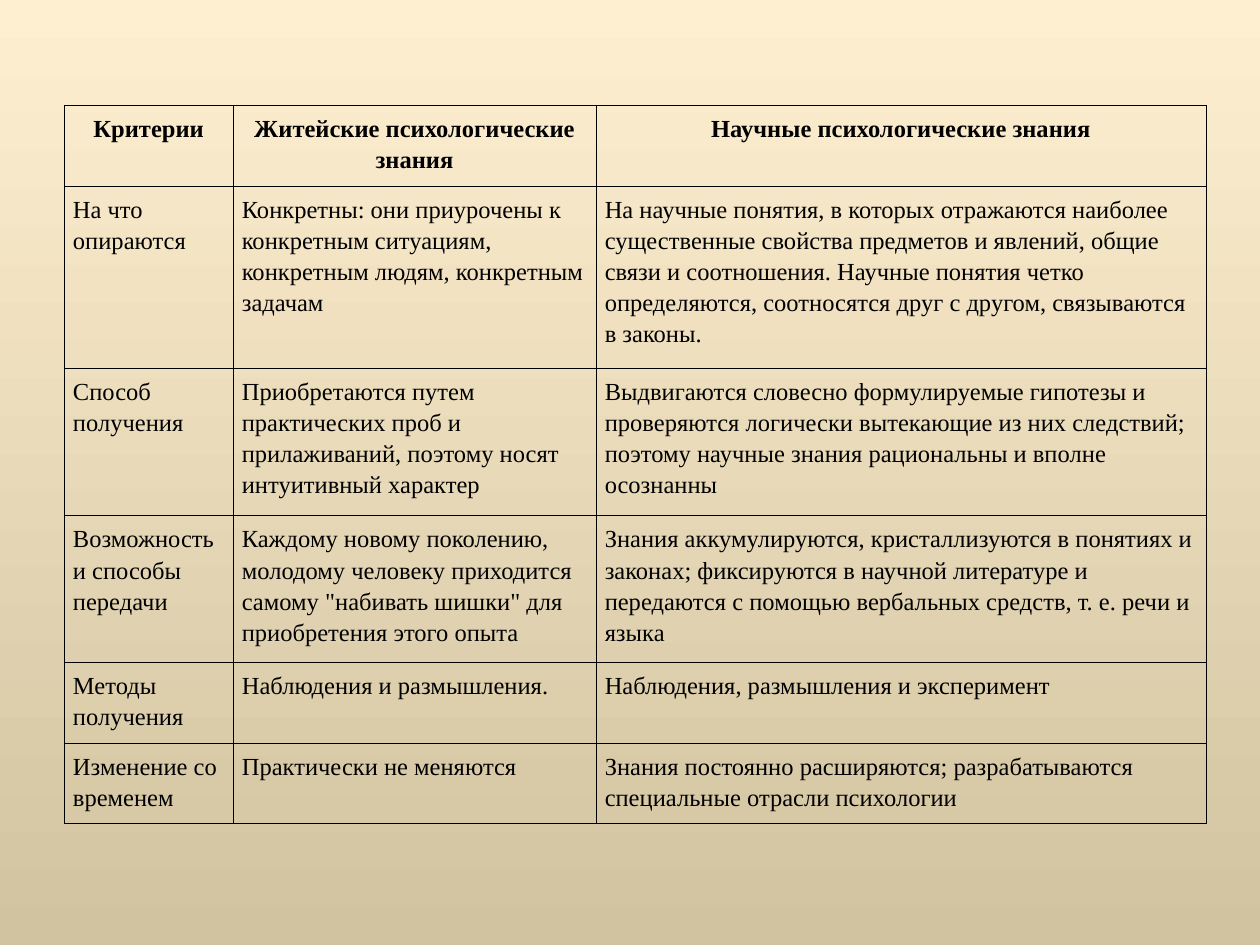
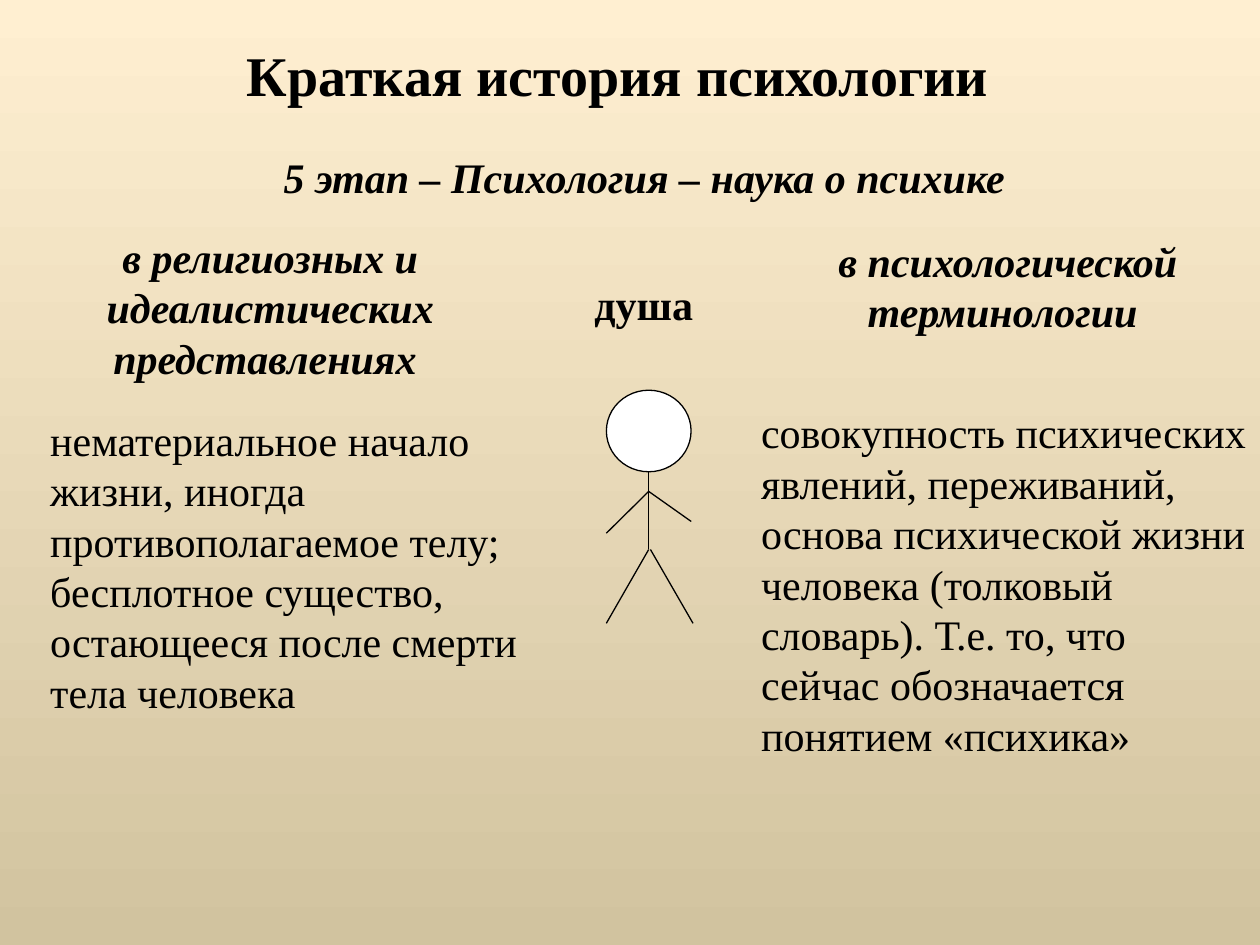
from lxml.etree import SubElement
from pptx import Presentation
from pptx.dml.color import RGBColor
from pptx.enum.shapes import MSO_CONNECTOR, MSO_SHAPE
from pptx.enum.text import MSO_ANCHOR, MSO_AUTO_SIZE, PP_ALIGN
from pptx.oxml.ns import qn
from pptx.util import Pt

BLACK = RGBColor(0x00, 0x00, 0x00)
WHITE = RGBColor(0xFF, 0xFF, 0xFF)
SAND_LIGHT = RGBColor(0xFF, 0xEF, 0xD1)
SAND_DARK = RGBColor(0xD1, 0xC3, 0x9F)
FONT = "Times New Roman"
TITLE_ONLY, BLANK = 5, 6

COLUMNS = [96.5, 207.4, 348.5]
ROWS = [46, 104, 84.5, 84, 46, 46]
CRITERIA = [
    ("Критерии", "Житейские психологические знания", "Научные психологические знания"),
    ("На что опираются",
     "Конкретны: они приурочены к конкретным ситуациям, конкретным людям, конкретным задачам",
     "На научные понятия, в которых отражаются наиболее существенные свойства предметов и явлений, "
     "общие связи и соотношения. Научные понятия четко определяются, соотносятся друг с другом, "
     "связываются в законы."),
    ("Способ получения",
     "Приобретаются путем практических проб и прилаживаний, поэтому носят интуитивный характер",
     "Выдвигаются словесно формулируемые гипотезы и проверяются логически вытекающие из них "
     "следствий; поэтому научные знания рациональны и вполне осознанны"),
    ("Возможность и способы передачи",
     "Каждому новому поколению, молодому человеку приходится самому \"набивать шишки\" для "
     "приобретения этого опыта",
     "Знания аккумулируются, кристаллизуются в понятиях и законах; фиксируются в научной литературе "
     "и передаются с помощью вербальных средств, т. е. речи и языка"),
    ("Методы получения", "Наблюдения и размышления.", "Наблюдения, размышления и эксперимент"),
    ("Изменение со временем", "Практически не меняются",
     "Знания постоянно расширяются; разрабатываются специальные отрасли психологии"),
]


def set_background(prs):
    fill = prs.slide_master.background.fill
    fill.gradient()
    fill.gradient_angle = 270
    for stop, position, color in zip(fill.gradient_stops, (0, 1), (SAND_LIGHT, SAND_DARK)):
        stop.position = position
        stop.color.rgb = color


def style_paragraph(p, size, bold=False, italic=False, align=PP_ALIGN.LEFT):
    p.alignment = align
    font = p.font
    font.name, font.size, font.bold, font.italic = FONT, Pt(size), bold, italic
    font.color.rgb = BLACK


def add_borders(cell):
    tcPr = cell._tc.get_or_add_tcPr()
    for i, side in enumerate(("lnL", "lnR", "lnT", "lnB")):
        ln = SubElement(tcPr, qn(f"a:{side}"), w=str(Pt(0.45)))
        tcPr.insert(i, ln)
        fill = SubElement(ln, qn("a:solidFill"))
        SubElement(fill, qn("a:srgbClr"), val=str(BLACK))


def add_criteria_table(s):
    frame = s.shapes.add_table(len(ROWS), len(COLUMNS), Pt(36.7), Pt(60.3),
                               Pt(sum(COLUMNS)), Pt(sum(ROWS)))
    table = frame.table
    table.first_row = table.horz_banding = False
    for column, width in zip(table.columns, COLUMNS):
        column.width = Pt(width)
    for i, (row, height, texts) in enumerate(zip(table.rows, ROWS, CRITERIA)):
        row.height = Pt(height)
        for cell, text in zip(row.cells, texts):
            cell.text = text
            cell.margin_left = cell.margin_right = Pt(5)
            cell.margin_top = cell.margin_bottom = Pt(3.6)
            cell.fill.background()
            add_borders(cell)
            p = cell.text_frame.paragraphs[0]
            p.line_spacing = 1.15
            style_paragraph(p, 14, bold=i == 0,
                            align=PP_ALIGN.CENTER if i == 0 else PP_ALIGN.LEFT)


def set_title(s, text, left, top, width, height):
    title = s.shapes.title
    title.left, title.top, title.width, title.height = map(Pt, (left, top, width, height))
    tf = title.text_frame
    tf.text = text
    tf.word_wrap = False
    tf.auto_size = MSO_AUTO_SIZE.SHAPE_TO_FIT_TEXT
    tf.vertical_anchor = MSO_ANCHOR.TOP
    style_paragraph(tf.paragraphs[0], 32, bold=True)


def add_text(s, text, left, top, width, height, wrap=True, **style):
    tf = s.shapes.add_textbox(*map(Pt, (left, top, width, height))).text_frame
    tf.text = text
    tf.word_wrap = wrap
    tf.auto_size = MSO_AUTO_SIZE.SHAPE_TO_FIT_TEXT
    style_paragraph(tf.paragraphs[0], 24, **style)


def add_line(shapes, start, end):
    line = shapes.add_connector(MSO_CONNECTOR.STRAIGHT, *map(Pt, start + end))
    line.line.color.rgb = BLACK
    line.line.width = Pt(0.75)
    SubElement(line._element.spPr, qn("a:effectLst"))


def add_stick_figure(s):
    shapes = s.shapes.add_group_shape().shapes
    head = shapes.add_shape(MSO_SHAPE.OVAL, Pt(346.5), Pt(223), Pt(48.4), Pt(46.6))
    head.shadow.inherit = False
    head.fill.solid()
    head.fill.fore_color.rgb = WHITE
    head.line.color.rgb = BLACK
    head.line.width = Pt(0.75)
    neck, shoulders, hips = (370.7, 269.6), (370.7, 280.8), (370.7, 314)
    add_line(shapes, neck, hips)
    add_line(shapes, shoulders, (346.5, 304.7))
    add_line(shapes, shoulders, (395, 298))
    add_line(shapes, hips, (346.5, 356.2))
    add_line(shapes, (371.7, 314), (396, 356.2))


def add_history(s):
    heading = dict(bold=True, italic=True, align=PP_ALIGN.CENTER)
    set_title(s, "Краткая история психологии", 133.9, 19.5, 441.4, 46)
    add_text(s, "5 этап – Психология – наука о психике ", 22.3, 83, 697.7, 36, **heading)
    add_text(s, "душа", 332.6, 155.7, 76.3, 36, wrap=False, bold=True)
    add_text(s, "нематериальное начало жизни, иногда противополагаемое телу; бесплотное существо, "
             "остающееся после смерти тела человека", 21.6, 233.2, 286.6, 180)
    add_text(s, "в религиозных и идеалистических представлениях ",
             21.6, 128.8, 265.7, 93.6, **heading)
    add_text(s, "в психологической терминологии ", 465.8, 131, 220.3, 64.8, **heading)
    add_text(s, "совокупность психических явлений, переживаний, основа психической жизни человека "
             "(толковый словарь). Т.е. то, что сейчас обозначается понятием «психика»",
             427.8, 229, 291.6, 208.8)
    add_stick_figure(s)


def main():
    prs = Presentation()
    prs.slide_width, prs.slide_height = Pt(720), Pt(540)
    set_background(prs)
    add_criteria_table(prs.slides.add_slide(prs.slide_layouts[BLANK]))
    add_history(prs.slides.add_slide(prs.slide_layouts[TITLE_ONLY]))
    prs.save("out.pptx")


if __name__ == "__main__":
    main()
